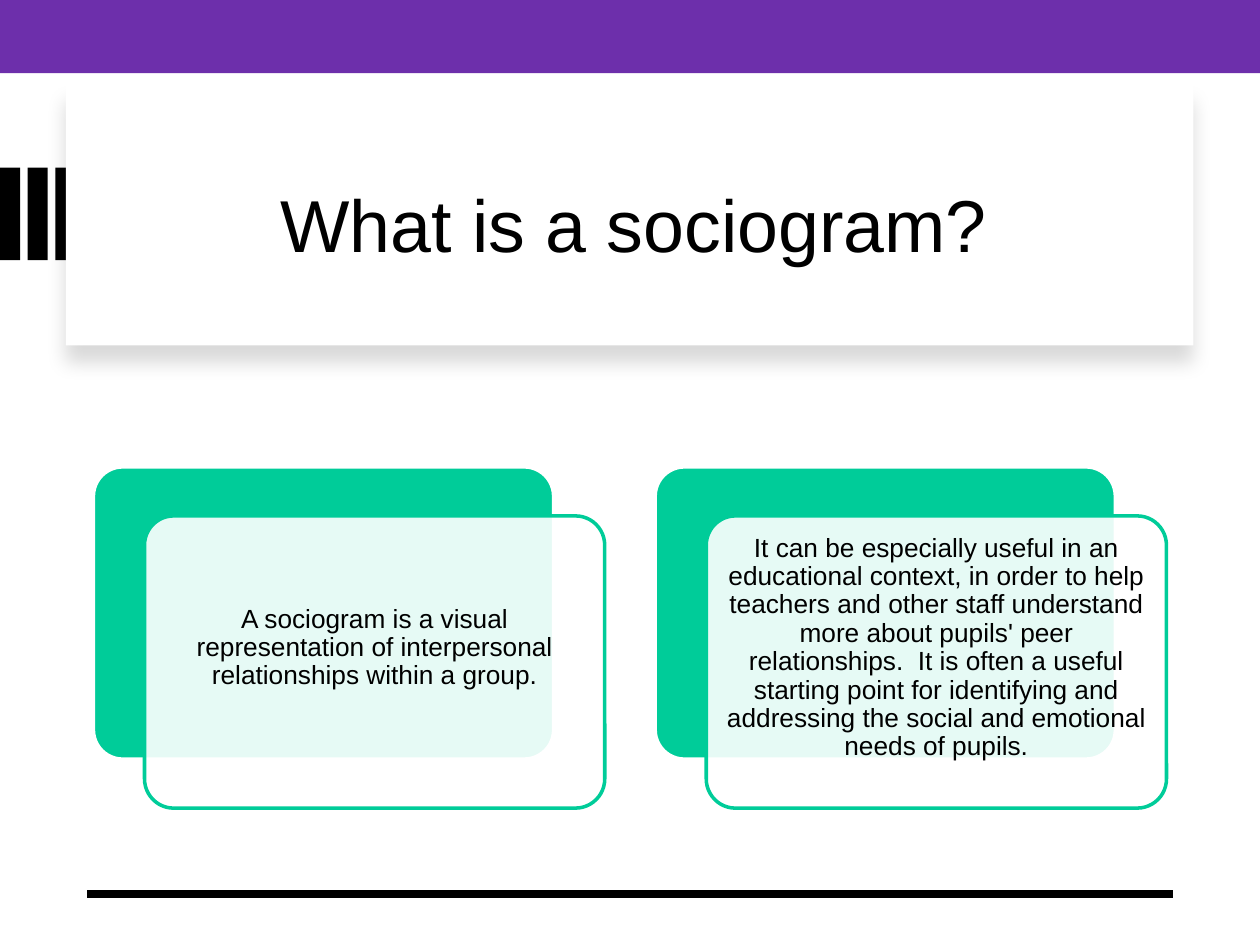
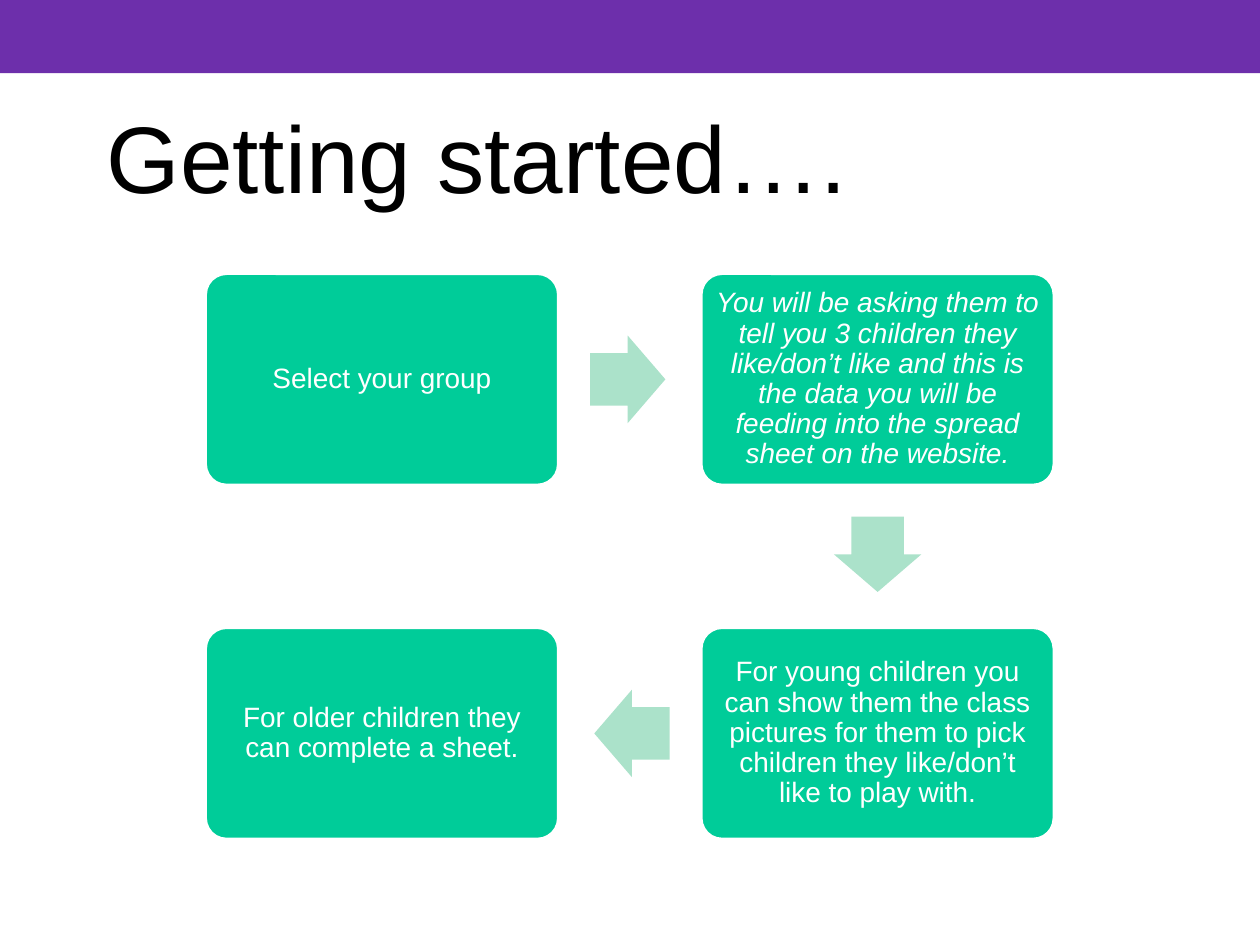
import itertools
import math

from lxml import etree
from pptx import Presentation
from pptx import oxml
from pptx import util as u
from pptx.dml.color import RGBColor
from pptx.enum import shapes, text
from pptx.oxml import ns

PURPLE, GREEN, MINT = "6D2FAB", "00CC99", "ABE2CA"
BLACK, WHITE = "000000", "FFFFFF"
KIND = shapes.MSO_SHAPE
SHADOW = (
    f'<a:effectLst {ns.nsdecls("a")}><a:outerShdw blurRad="139700" dist="127000" dir="5400000" '
    'algn="t" rotWithShape="0"><a:srgbClr val="000000"><a:alpha val="15000"/></a:srgbClr>'
    '</a:outerShdw></a:effectLst>'
)


def rgb(value):
    return RGBColor.from_string(value)


class Deck:
    """Holds the shared style and the slide being drawn."""

    font = "Arial"
    width, height = 720, 540
    band_height = 41.75

    def __init__(self):
        self.presentation = Presentation()
        self.presentation.slide_width = u.Pt(self.width)
        self.presentation.slide_height = u.Pt(self.height)
        self.slide = None

    def new_slide(self):
        self.slide = self.presentation.slides.add_slide(self.presentation.slide_layouts[6])

    def band(self):
        self.shape(KIND.RECTANGLE, 0, 0, self.width, self.band_height, PURPLE)

    def shape(self, kind, left, top, width, height, fill, outline=None):
        item = self.slide.shapes.add_shape(kind, *map(u.Pt, (left, top, width, height)))
        item.shadow.inherit = False
        item.fill.solid()
        item.fill.fore_color.rgb = rgb(fill)
        if outline:
            item.line.color.rgb = rgb(outline)
            item.line.width = u.Pt(2)
        else:
            item.line.fill.background()
        return item

    def panel(self, left, top, width, height):
        item = self.shape(KIND.RECTANGLE, left, top, width, height, WHITE)
        properties = item._element.spPr
        properties.remove(properties.find(ns.qn("a:effectLst")))
        properties.append(oxml.parse_xml(SHADOW))

    def rounded(self, left, top, width, height, fill, outline):
        item = self.shape(KIND.ROUNDED_RECTANGLE, left, top, width, height, fill, outline)
        item.adjustments[0] = 0.1
        return item

    def arrow(self, left, top, width, height, angle):
        item = self.shape(KIND.RIGHT_ARROW, left, top, width, height, MINT)
        item.adjustments[0], item.adjustments[1] = 0.6, 0.5
        item.rotation = angle

    def rule(self, start, end, y):
        line = self.slide.shapes.add_connector(
            shapes.MSO_CONNECTOR.STRAIGHT, *map(u.Pt, (start, y, end, y)))
        line.line.color.rgb = rgb(BLACK)
        line.line.width = u.Pt(4.5)
        etree.SubElement(line._element.spPr, ns.qn("a:effectLst"))

    def title(self, words, left, top, width, height, size, align):
        box = self.slide.shapes.add_textbox(*map(u.Pt, (left, top, width, height)))
        self.label(box, words, size, BLACK, (7.2, 3.6, 7.2, 3.6), align)

    def label(self, item, words, size, color, insets, align=text.PP_ALIGN.CENTER,
              spacing=1.0, italic=False):
        frame = item.text_frame
        frame.text = words
        frame.word_wrap = True
        frame.vertical_anchor = text.MSO_ANCHOR.MIDDLE
        frame.margin_left, frame.margin_top, frame.margin_right, frame.margin_bottom = map(
            u.Pt, insets)
        paragraph = frame.paragraphs[0]
        paragraph.alignment = align
        paragraph.line_spacing = spacing
        font = paragraph.runs[0].font
        font.name, font.size, font.italic = self.font, u.Pt(size), italic
        font.color.rgb = rgb(color)

    def card(self, left, top, words):
        width, height = 263, 167
        self.rounded(left, top, width, height, GREEN, WHITE)
        front = self.rounded(left + 29.2, top + 28, width, height, WHITE, GREEN)
        color = front._element.spPr.find(ns.qn("a:solidFill"))[0]
        etree.SubElement(color, ns.qn("a:alpha"), val="90000")
        self.label(front, words, 15, BLACK, (4.5, 4.5, 4.5, 20.5), spacing=0.9)

    def step(self, left, top, width, height, words, italic):
        box = self.rounded(left, top, width, height, GREEN, WHITE)
        self.label(box, words, 16, WHITE, (5,) * 4, spacing=0.9, italic=italic)


def draw_definition(deck):
    deck.new_slide()
    for bar in range(3):
        deck.shape(KIND.RECTANGLE, bar * 15.8, 95.75, 11.5, 53, BLACK)
    deck.panel(37.6, 48, 644.4, 149.4)
    deck.title("What is a sociogram?", 62, 66.5, 600.5, 122.5, 42, text.PP_ALIGN.CENTER)
    deck.rule(670.3, 49.7, 510.7)
    deck.band()
    definitions = (
        "A sociogram is a visual representation of interpersonal relationships within a group.",
        "It can be especially useful in an educational context, in order to help teachers and "
        "other staff understand more about pupils' peer relationships.  It is often a useful "
        "starting point for identifying and addressing the social and emotional needs of pupils.",
    )
    for column, words in enumerate(definitions):
        deck.card(53.4 + column * 321, 266.8, words)


def draw_steps(deck):
    deck.new_slide()
    deck.band()
    deck.title("Getting started….", 54, 57.6, 612, 62.6, 54, text.PP_ALIGN.LEFT)
    width, height = 202, 121.2
    steps = (
        (0, 0, "Select your group", False),
        (1, 0, "You will be asking them to tell you 3 children they like/don’t like and this is "
               "the data you will be feeding into the spread sheet on the website.", True),
        (1, 1, "For young children you can show them the class pictures for them to pick "
               "children they like/don’t like to play with.", False),
        (0, 1, "For older children they can complete a sheet.", False),
    )
    centers = []
    for column, row, words, italic in steps:
        left, top = 117.3 + column * 283.2, 156.2 + row * 202.3
        deck.step(left, top, width, height, words, italic)
        centers.append((left + width / 2, top + height / 2))
    length, breadth, setback = 43, 50, 1.2
    for (x1, y1), (x2, y2) in itertools.pairwise(centers):
        angle = math.atan2(y2 - y1, x2 - x1)
        x = (x1 + x2) / 2 - setback * math.cos(angle)
        y = (y1 + y2) / 2 - setback * math.sin(angle)
        deck.arrow(x - length / 2, y - breadth / 2, length, breadth, math.degrees(angle))


def main():
    deck = Deck()
    draw_definition(deck)
    draw_steps(deck)
    deck.presentation.save("out.pptx")


if __name__ == "__main__":
    main()
